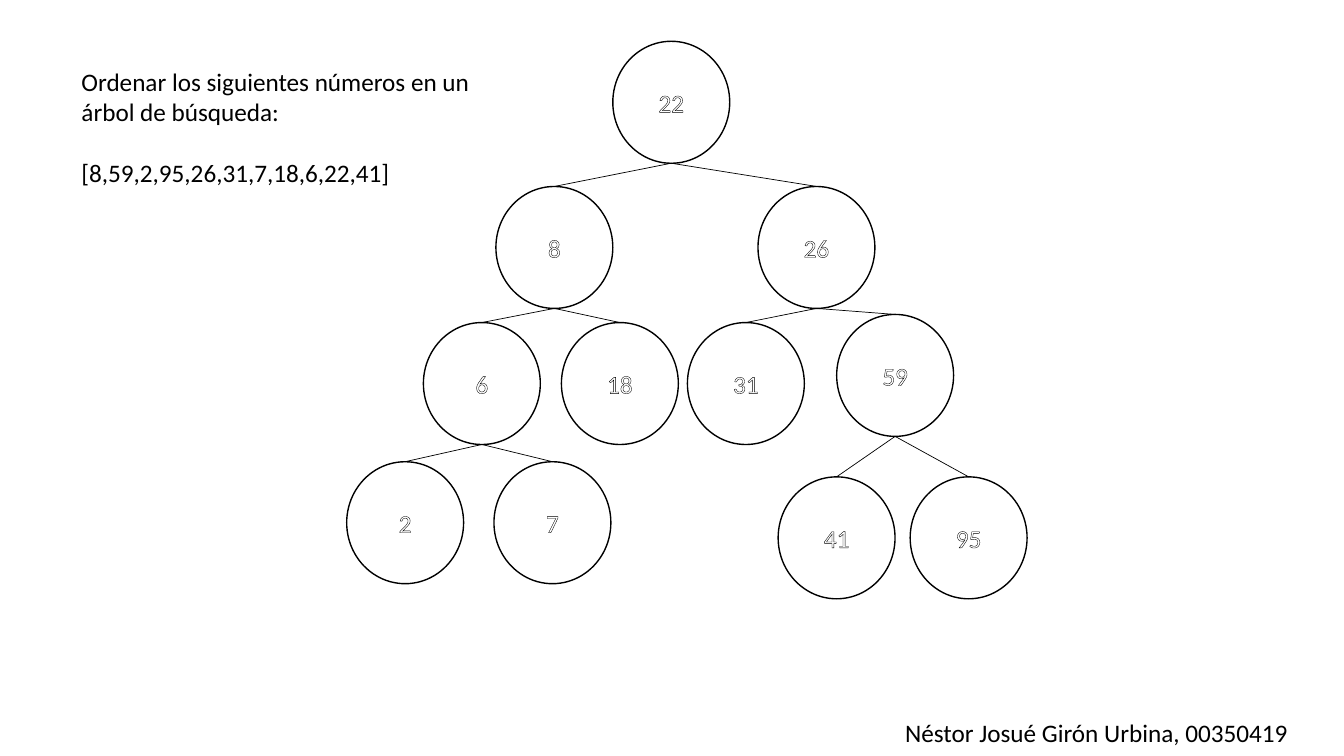
"""Build a slide showing a binary search tree for a list of numbers."""
import pptx
import pptx.dml.color
import pptx.enum.shapes
import pptx.enum.text
import pptx.oxml
import pptx.oxml.ns
import pptx.util

Pt = pptx.util.Pt

TASK = ["Ordenar los siguientes números en un árbol de búsqueda:",
        "[8,59,2,95,26,31,7,18,6,22,41]"]
AUTHOR = ["Néstor Josué Girón Urbina, 00350419"]
NODES = {
    22: (479.5, 29.5),
    8: (396, 133.2), 26: (583.2, 133.2),
    6: (344.2, 230.4), 18: (442.8, 230.4), 31: (532.8, 230.4), 59: (639.4, 224.6),
    2: (289.4, 329.8), 7: (394.6, 329.8), 41: (597.6, 340.6), 95: (691.9, 340.6),
}
CHILDREN = {22: (8, 26), 8: (6, 18), 26: (31, 59), 6: (2, 7), 59: (41, 95)}
COLORS = {"ink": "000000", "paper": "FFFFFF"}
FONT, TEXT_SIZE = "Calibri", 18
NODE_WIDTH, NODE_HEIGHT = 83.5, 87.1
LINE_GAP = 22


def color(name):
    return pptx.dml.color.RGBColor.from_string(COLORS[name])


def add_run(paragraph, text, color_name):
    run = paragraph.add_run()
    run.text = text
    run.font.name = FONT
    run.font.size = Pt(TEXT_SIZE)
    run.font.color.rgb = color(color_name)
    return run


def add_text(slide, left, top, width, height, lines):
    frame = slide.shapes.add_textbox(Pt(left), Pt(top), Pt(width), Pt(height)).text_frame
    frame.word_wrap = True
    frame.auto_size = pptx.enum.text.MSO_AUTO_SIZE.SHAPE_TO_FIT_TEXT
    for index, line in enumerate(lines):
        paragraph = frame.add_paragraph() if index else frame.paragraphs[0]
        if index:
            paragraph.space_before = Pt(LINE_GAP)
        add_run(paragraph, line, "ink")


def add_node(slide, value, center, top):
    shape = slide.shapes.add_shape(
        pptx.enum.shapes.MSO_SHAPE.OVAL, Pt(center - NODE_WIDTH / 2), Pt(top),
        Pt(NODE_WIDTH), Pt(NODE_HEIGHT))
    shape.shadow.inherit = False
    shape.fill.solid()
    shape.fill.fore_color.rgb = color("paper")
    shape.line.color.rgb = color("ink")
    shape.line.width = Pt(1)
    shape.text_frame.vertical_anchor = pptx.enum.text.MSO_ANCHOR.MIDDLE
    paragraph = shape.text_frame.paragraphs[0]
    paragraph.alignment = pptx.enum.text.PP_ALIGN.CENTER
    run = add_run(paragraph, str(value), "paper")
    outline = pptx.oxml.parse_xml(
        f'<a:ln {pptx.oxml.ns.nsdecls("a")} w="{Pt(0.75)}"><a:solidFill>'
        f'<a:srgbClr val="{COLORS["ink"]}"/></a:solidFill></a:ln>')
    run.font._element.insert(0, outline)


def add_branch(slide, parent, child):
    parent_x, parent_top = NODES[parent]
    child_x, child_top = NODES[child]
    branch = slide.shapes.add_connector(
        pptx.enum.shapes.MSO_CONNECTOR.STRAIGHT,
        Pt(parent_x), Pt(parent_top + NODE_HEIGHT), Pt(child_x), Pt(child_top))
    branch.line.color.rgb = color("ink")
    branch.line.width = Pt(0.5)
    branch._element.spPr.append(
        pptx.oxml.parse_xml(f'<a:effectLst {pptx.oxml.ns.nsdecls("a")}/>'))


presentation = pptx.Presentation()
presentation.slide_width, presentation.slide_height = Pt(960), Pt(540)
slide = presentation.slides.add_slide(presentation.slide_layouts[6])

for value, (center, top) in NODES.items():
    add_node(slide, value, center, top)
for parent, children in CHILDREN.items():
    for child in children:
        add_branch(slide, parent, child)
add_text(slide, 51.1, 43.9, 302.4, 94.3, TASK)
add_text(slide, 639.4, 509, 320.4, 28.8, AUTHOR)

presentation.save("out.pptx")
